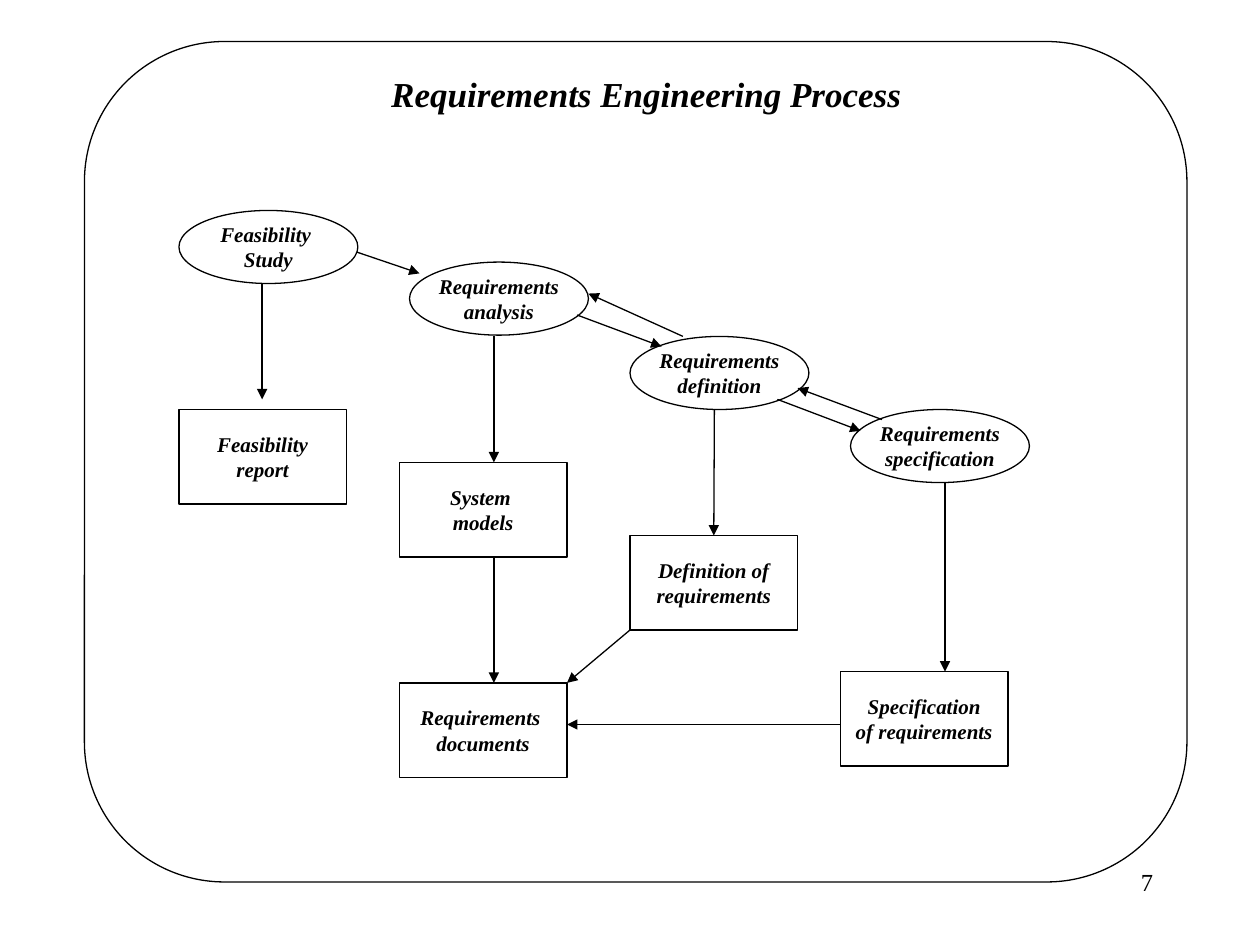
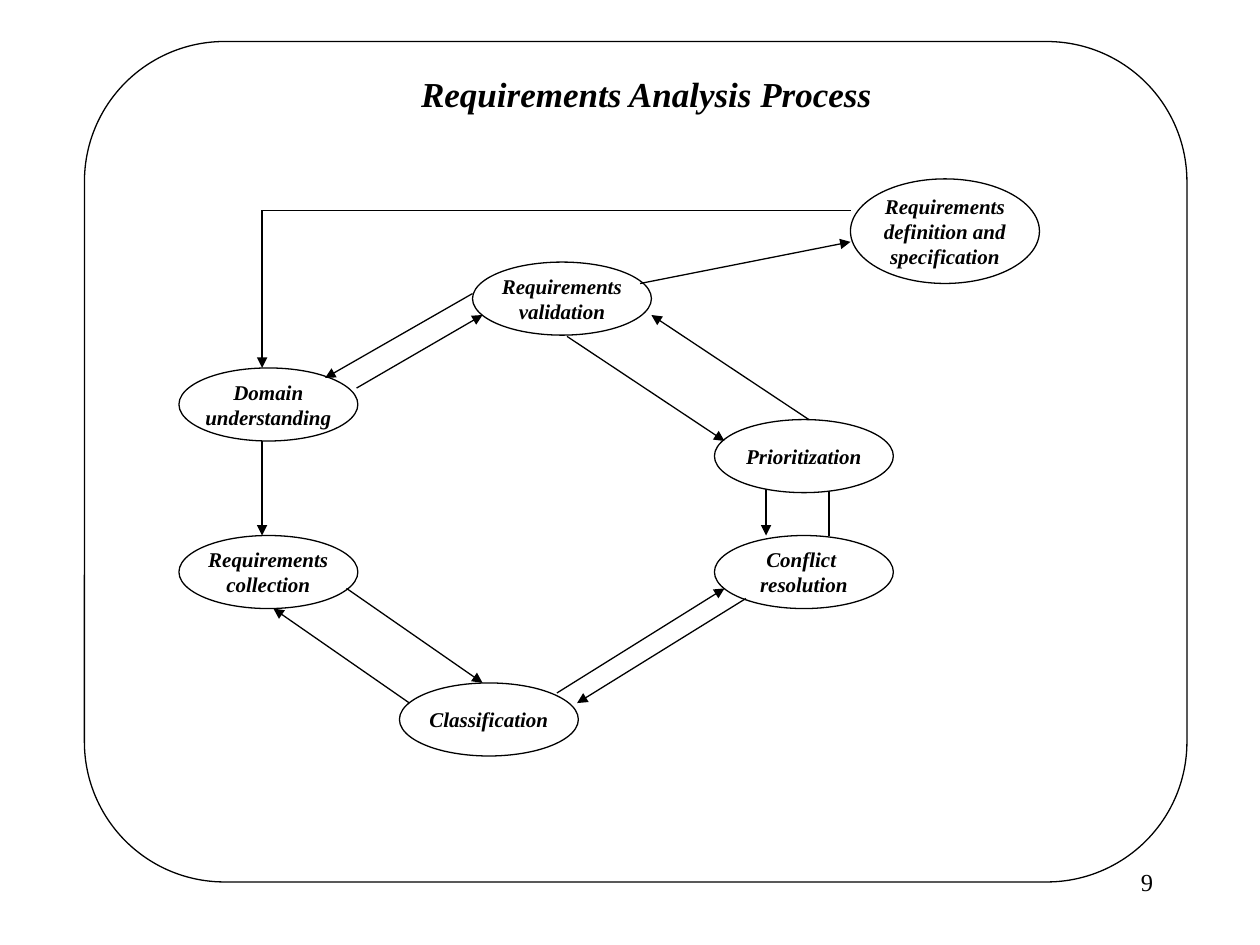
from dataclasses import dataclass
from typing import NamedTuple

from lxml.etree import SubElement
from pptx import Presentation
from pptx.dml.color import RGBColor
from pptx.enum.shapes import MSO_CONNECTOR as Link, MSO_SHAPE as Form
from pptx.enum.text import MSO_ANCHOR as Anchor, MSO_AUTO_SIZE as Fit, PP_ALIGN as Align
from pptx.oxml.ns import qn
from pptx.util import Inches, Pt

BLACK = RGBColor(0, 0, 0)
WHITE = RGBColor(255, 255, 255)
THIN = Pt(0.75)
NEAR = Inches(0.01)
FACE = "Times New Roman"
TITLE = {"name": FACE, "size": Pt(20), "bold": True, "italic": True}
LABEL = {"name": FACE, "size": Pt(12), "bold": True, "italic": True}
NUMBER = {"name": FACE, "size": Pt(14), "bold": False, "italic": False}
PLAIN = {"word_wrap": True, "auto_size": Fit.NONE}
MIDDLE = {**PLAIN, "vertical_anchor": Anchor.MIDDLE}
LOOSE = {"word_wrap": False, "vertical_anchor": Anchor.MIDDLE}


@dataclass
class Step:
    """An oval activity."""
    text: str
    left: float
    top: float
    wide: float = 1.42
    high: float = 0.58
    form: Form = Form.OVAL


@dataclass
class Report(Step):
    """A boxed document that a step yields."""
    wide: float = 1.33
    high: float = 0.75
    form: Form = Form.RECTANGLE


class Arrow(NamedTuple):
    x1: float
    y1: float
    x2: float
    y2: float
    head: bool = True


class Page(NamedTuple):
    title: str
    number: str
    marks: list[Step | Arrow]


PAGES = [
    Page("Requirements Engineering Process ", "7", [
        Step("Feasibility \nStudy", 1.42, 1.67),
        Step("Requirements\nanalysis", 3.25, 2.08),
        Step("Requirements\ndefinition", 5, 2.67),
        Step("Requirements\nspecification", 6.75, 3.25),
        Report("Feasibility\nreport", 1.42, 3.25),
        Report("System \nmodels", 3.17, 3.67),
        Report("Requirements \ndocuments", 3.17, 5.42),
        Report("Definition of\nrequirements", 5, 4.25),
        Report("Specification\nof requirements", 6.67, 5.33),
        Arrow(2.83, 2, 3.33, 2.17),
        Arrow(4.58, 2.5, 5.25, 2.75),
        Arrow(5.42, 2.67, 4.67, 2.33),
        Arrow(6.17, 3.17, 6.83, 3.42),
        Arrow(7, 3.33, 6.33, 3.08),
        Arrow(2.08, 2.25, 2.08, 3.17),
        Arrow(3.92, 2.67, 3.92, 3.67),
        Arrow(3.92, 4.42, 3.92, 5.42),
        Arrow(5.67, 3.25, 5.67, 4.25),
        Arrow(7.5, 3.83, 7.5, 5.33),
        Arrow(6.67, 5.75, 4.5, 5.75),
        Arrow(5, 5, 4.5, 5.42),
    ]),
    Page("Requirements Analysis Process ", "9", [
        Arrow(2.08, 3.33, 2.08, 4.25),
        Arrow(6.58, 4.25, 6.58, 3.75),
        Arrow(6.08, 3.75, 6.08, 4.25),
        Step("Requirements\ncollection", 1.42, 4.25),
        Step("Requirements\nvalidation", 3.75, 2.08),
        Step("Requirements\ndefinition and\nspecification", 6.75, 1.42, 1.5, 0.83),
        Step("Domain\nunderstanding", 1.42, 2.92),
        Step("Classification", 3.17, 5.42),
        Step("Conflict \nresolution", 5.67, 4.25),
        Step("Prioritization", 5.67, 3.33),
        Arrow(2.83, 3.08, 3.83, 2.5),
        Arrow(2.75, 4.67, 3.83, 5.42),
        Arrow(3.25, 5.58, 2.17, 4.83),
        Arrow(3.75, 2.33, 2.58, 3),
        Arrow(4.5, 2.67, 5.75, 3.5),
        Arrow(6.42, 3.33, 5.17, 2.5),
        Arrow(5.08, 2.25, 6.75, 1.92),
        Arrow(6.75, 1.67, 2.08, 1.67, head=False),
        Arrow(2.08, 1.67, 2.08, 2.92),
        Arrow(4.42, 5.5, 5.75, 4.67),
        Arrow(5.92, 4.75, 4.58, 5.58),
    ]),
]


def apply(target, values: dict) -> None:
    for name, value in values.items():
        setattr(target, name, value)


def write(shape, text: str, font: dict, frame: dict, align: Align = Align.CENTER) -> None:
    body = shape.text_frame
    body.text = text
    apply(body, frame)
    for para in body.paragraphs:
        para.alignment = align
        for run in para.runs:
            apply(run.font, font)
            run.font.color.rgb = BLACK


def stroke(shape) -> None:
    shape.line.color.rgb = BLACK
    shape.line.width = THIN


def outline(slide, form: Form, *box: float):
    shape = slide.shapes.add_shape(form, *map(Inches, box))
    shape.shadow.inherit = False
    stroke(shape)
    return shape


def add_step(slide, step: Step):
    shape = outline(slide, step.form, step.left, step.top, step.wide, step.high)
    shape.fill.solid()
    shape.fill.fore_color.rgb = WHITE
    write(shape, step.text, LABEL, LOOSE)
    return shape


def join(line, boxes: list) -> None:
    """Attach line ends that meet the middle of a box side."""
    ends = ((line.begin_x, line.begin_y, line.begin_connect),
            (line.end_x, line.end_y, line.end_connect))
    for box in boxes:
        mid_x, mid_y = box.left + box.width // 2, box.top + box.height // 2
        sides = ((mid_x, box.top), (box.left, mid_y),
                 (mid_x, box.top + box.height), (box.left + box.width, mid_y))
        for x, y, attach in ends:
            for site, (side_x, side_y) in enumerate(sides):
                if max(abs(x - side_x), abs(y - side_y)) <= NEAR:
                    attach(box, site)


def add_arrow(slide, arrow: Arrow, boxes: list) -> None:
    line = slide.shapes.add_connector(Link.STRAIGHT, *map(Inches, arrow[:4]))
    stroke(line)
    props = line._element.spPr
    if arrow.head:
        SubElement(props.find(qn("a:ln")), qn("a:tailEnd"), type="triangle")
    SubElement(props, qn("a:effectLst"))
    join(line, boxes)


def add_page(deck, page: Page) -> None:
    slide = deck.slides.add_slide(deck.slide_layouts[5])
    title = slide.shapes.title
    apply(title, {"left": Inches(2.58), "top": Inches(0.58),
                  "width": Inches(5.17), "height": Inches(0.33)})
    write(title, page.title, TITLE, MIDDLE)
    outline(slide, Form.FLOWCHART_ALTERNATE_PROCESS, 0.67, 0.33, 8.75, 6.67).fill.background()
    boxes = []
    for mark in page.marks:
        if isinstance(mark, Arrow):
            add_arrow(slide, mark, boxes)
        else:
            shape = add_step(slide, mark)
            if isinstance(mark, Report):
                boxes.append(shape)
    number = slide.shapes.add_textbox(*map(Inches, (7.17, 6.83, 2.08, 0.5)))
    write(number, page.number, NUMBER, PLAIN, Align.RIGHT)


def main() -> None:
    deck = Presentation()
    deck.slide_width, deck.slide_height = Inches(10), Inches(7.5)
    for page in PAGES:
        add_page(deck, page)
    deck.save("out.pptx")


if __name__ == "__main__":
    main()
